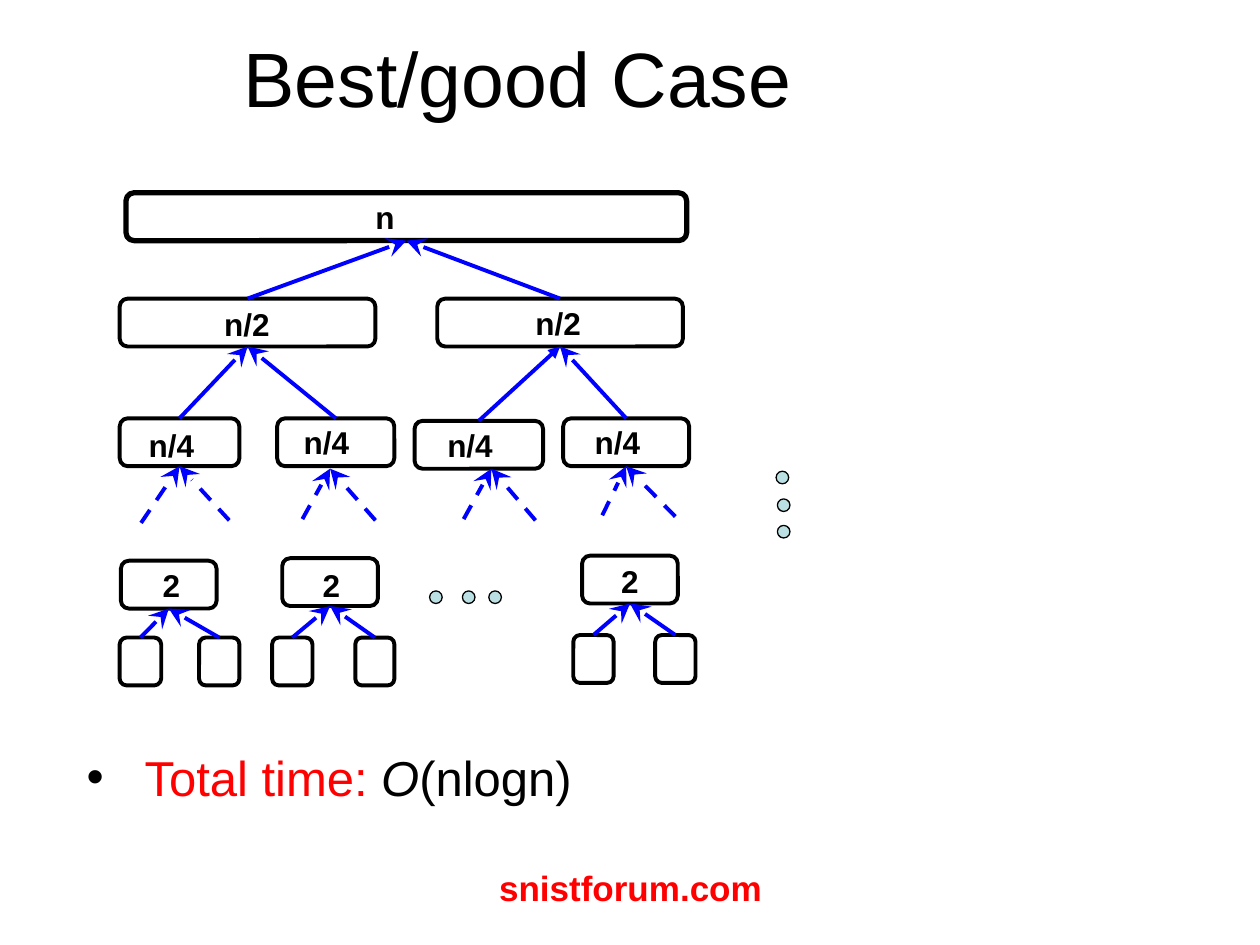
"""Build the slide showing the best-case recursion tree and its total time."""
from lxml import etree
from pptx import Presentation
from pptx.dml.color import RGBColor
from pptx.enum.dml import MSO_LINE
from pptx.enum.shapes import MSO_CONNECTOR, MSO_SHAPE
from pptx.enum.text import MSO_ANCHOR, PP_ALIGN
from pptx.oxml.ns import qn
from pptx.util import Pt

PX = 9144
STRAIGHT = MSO_CONNECTOR.STRAIGHT
ROUNDED, OVAL = MSO_SHAPE.ROUNDED_RECTANGLE, MSO_SHAPE.OVAL
DASH = MSO_LINE.DASH
MIDDLE, TOP = MSO_ANCHOR.MIDDLE, MSO_ANCHOR.TOP
CENTER, LEFT = PP_ALIGN.CENTER, PP_ALIGN.LEFT
color = RGBColor.from_string
BLACK, RED, BLUE, PALE = "000000", "FF0000", "0000FF", "BBE0E3"


def write(box, text, size, hue=BLACK, bold=False, align=LEFT, inset=(10, 5), anchor=TOP):
    frame = box.text_frame
    frame.text = text
    frame.word_wrap = True
    frame.vertical_anchor = anchor
    frame.margin_left = frame.margin_right = inset[0] * PX
    frame.margin_top = frame.margin_bottom = inset[1] * PX
    para = frame.paragraphs[0]
    para.alignment = align
    for span in para.runs:
        span.font.name = "Arial"
        span.font.size = Pt(size)
        span.font.bold = bold
        span.font.color.rgb = color(hue)
    return para


def add_arrow(start, end, head="stealth"):
    arrow = page.shapes.add_connector(STRAIGHT, *[value * PX for value in (*start, *end)])
    arrow.line.color.rgb = color(BLUE)
    arrow.line.width = Pt(2.25)
    size = "lg" if head == "stealth" else "med"
    etree.SubElement(arrow.line._get_or_add_ln(), qn("a:tailEnd"), type=head, w=size, len=size)
    etree.SubElement(arrow._element.spPr, qn("a:effectLst"))
    return arrow


deck = Presentation()
deck.slide_width, deck.slide_height = 1000 * PX, 750 * PX
page = deck.slides.add_slide(deck.slide_layouts[5])

title = page.shapes.title
title.left, title.top, title.width, title.height = 0, 20 * PX, 822 * PX, 81 * PX
write(title, "Best/good Case", 44, align=CENTER, anchor=MIDDLE)

nodes = {
    "root": (100, 153, 445, None),
    "half 1": (95, 237, 203, "root"),
    "half 2": (347, 237, 195, "root"),
    "quarter 1": (95, 332, 95, "half 1"),
    "quarter 2": (220, 332, 93, "half 1"),
    "quarter 3": (329, 334, 102, "half 2"),
    "quarter 4": (447, 332, 100, "half 2"),
    "pair 1": (96, 445, 76, None),
    "pair 2": (224, 443, 76, None),
    "pair 3": (462, 441, 76, None),
    "leaf 1": (95, 506, 33, "pair 1"),
    "leaf 2": (158, 506, 32, "pair 1"),
    "leaf 3": (216, 506, 32, "pair 2"),
    "leaf 4": (282, 506, 31, "pair 2"),
    "leaf 5": (455, 504, 32, "pair 3"),
    "leaf 6": (520, 504, 32, "pair 3"),
}
boxes = {}
for name, (left, top, width, parent) in nodes.items():
    box = page.shapes.add_shape(ROUNDED, left * PX, top * PX, width * PX, 38 * PX)
    box.adjustments[0] = 0.167
    box.shadow.inherit = False
    box.fill.background()
    box.line.color.rgb = color(BLACK)
    box.line.width = Pt(3 if name == "root" else 2.25)
    boxes[name] = box
    if parent:
        head = "triangle" if name == "quarter 3" else "stealth"
        arrow = add_arrow((left, top), (left, top), head)
        arrow.begin_connect(box, 0)
        arrow.end_connect(boxes[parent], 2)

branches = [
    ("quarter 1", (112, 415), (142, 369), (182, 413)),
    (None, (240, 412), (262, 372), (298, 413)),
    (None, (368, 412), (390, 372), (425, 413)),
    ("quarter 4", (478, 409), (500, 369), (536, 410)),
]
for parent, left_foot, tip, right_foot in branches:
    for foot in (left_foot, right_foot):
        arrow = add_arrow(foot, tip)
        arrow.line.dash_style = DASH
        if parent:
            arrow.end_connect(boxes[parent], 2)

labels = [
    ("n", 298, 157), ("n/2", 178, 242), ("n/2", 425, 241),
    ("n/4", 118, 338), ("n/4", 241, 336), ("n/4", 355, 338), ("n/4", 472, 336),
    ("2", 129, 449), ("2", 256, 449), ("2", 493, 446),
]
for text, left, top in labels:
    label = page.shapes.add_textbox(left * PX, top * PX, (56 if "/" in text else 35) * PX, 30 * PX)
    write(label, text, 18, bold=True, inset=(0, 0))

for left, top in [(616, 374), (617, 396), (617, 417), (341, 469), (367, 469), (388, 469)]:
    dot = page.shapes.add_shape(OVAL, left * PX, top * PX, 10 * PX, 10 * PX)
    dot.shadow.inherit = False
    dot.fill.solid()
    dot.fill.fore_color.rgb = color(PALE)
    dot.line.color.rgb = color(BLACK)
    dot.line.width = Pt(0.75)

summary = page.shapes.add_textbox(59 * PX, 588 * PX, 773 * PX, 104 * PX)
para = write(summary, "Total time: ", 28, RED)
for text in ("O", "(nlogn)"):
    span = para.add_run()
    span.text = text
    span.font.name = "Arial"
    span.font.size = Pt(28)
    span.font.italic = text == "O"
    span.font.color.rgb = color(BLACK)
properties = para._p.get_or_add_pPr()
properties.set("marL", str(46 * PX))
properties.set("indent", str(-46 * PX))
bullet_color = etree.SubElement(properties, qn("a:buClr"))
etree.SubElement(bullet_color, qn("a:srgbClr"), val=BLACK)
etree.SubElement(properties, qn("a:buFont"), typeface="Arial")
etree.SubElement(properties, qn("a:buChar"), char="•")

footer = page.shapes.add_textbox(342 * PX, 683 * PX, 317 * PX, 52 * PX)
write(footer, "snistforum.com", 20, RED, bold=True, align=CENTER)

deck.save("out.pptx")
